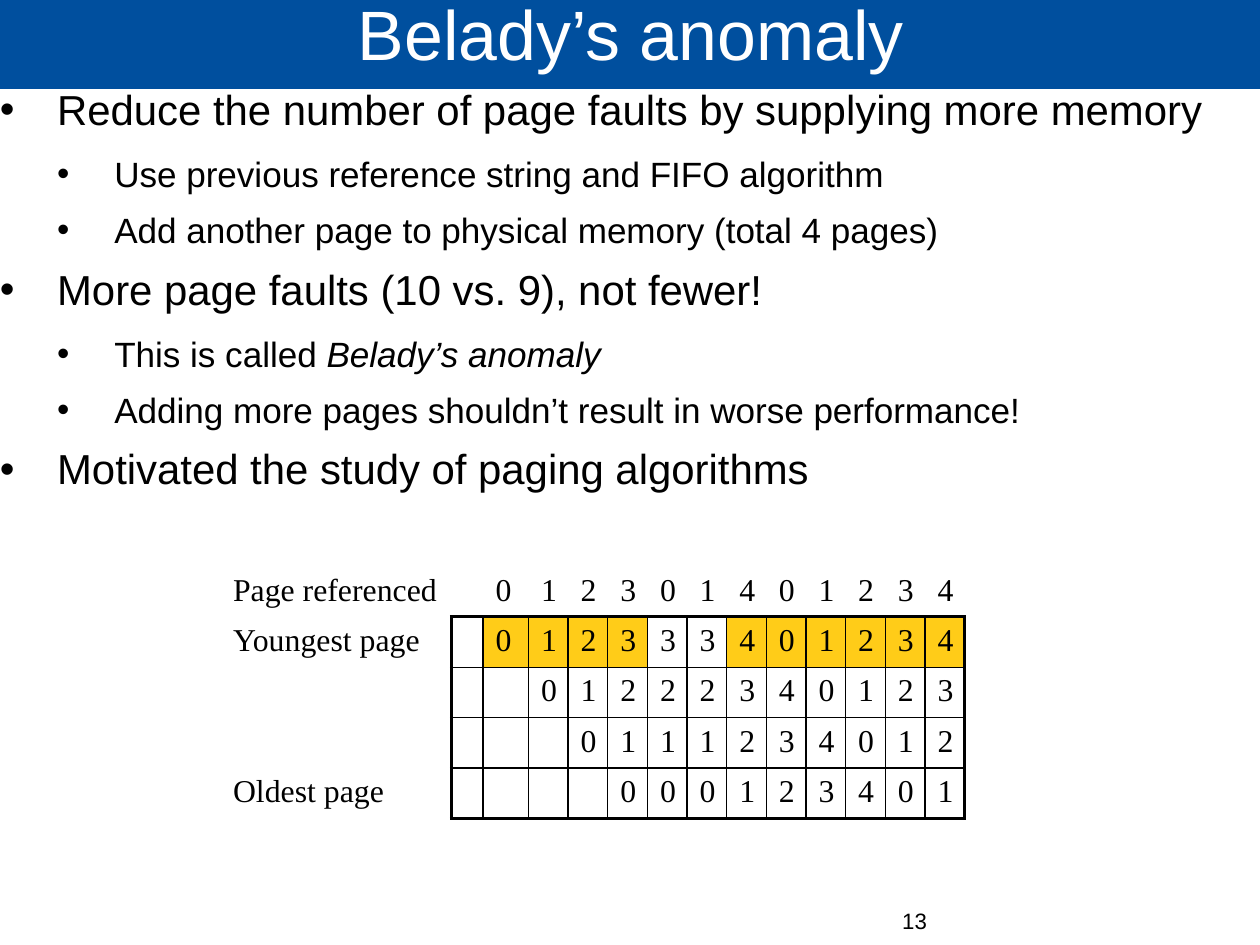
"""Build the slide on Belady's anomaly with its FIFO paging table."""
from lxml import etree
from pptx import Presentation
from pptx.dml.color import RGBColor
from pptx.enum.text import MSO_ANCHOR, MSO_AUTO_SIZE, PP_ALIGN
from pptx.oxml.ns import qn
from pptx.util import Pt

CENTER, RIGHT = PP_ALIGN.CENTER, PP_ALIGN.RIGHT
TOP, MIDDLE = MSO_ANCHOR.TOP, MSO_ANCHOR.MIDDLE
NO_AUTOFIT = MSO_AUTO_SIZE.NONE

BLACK, WHITE, BLUE, YELLOW = "000000", "FFFFFF", "004F9E", "FFCC18"
SANS, SERIF = "Arial", "Times New Roman"
SLIDE_SIZE = (793.7, 595.28)

TITLE = "Belady’s anomaly"
POINTS = [
    (0, ["Reduce the number of page faults by supplying more memory"]),
    (1, ["Use previous reference string and FIFO algorithm"]),
    (1, ["Add another page to physical memory (total 4 pages)"]),
    (0, ["More page faults (10 vs. 9), not fewer!"]),
    (1, ["This is called ", "Belady’s anomaly"]),
    (1, ["Adding more pages shouldn’t result in worse performance!"]),
    (0, ["Motivated the study of paging algorithms"]),
]
LEVELS = [{"size": 26.4, "after": 14.2}, {"size": 22.1, "after": 11.4}]
PAGE_NUMBER = "13"
PAGING = [
    ("Page referenced", " 012301401234"),
    ("Youngest page", " 012333401234"),
    ("", "  01222340123"),
    ("", "   0111234012"),
    ("Oldest page", "    000123401"),
]
COLUMN_WIDTHS = [145.5, 20, 28.6] + [25] * 11
ROW_HEIGHT = 31.75
FRAME_LINE, INNER_LINE = 2.25, 1


def color(value):
    return RGBColor.from_string(value)


def write(paragraph, text, size=20, font=SANS, fill=BLACK, italic=False, align=None):
    run = paragraph.add_run()
    run.text = text
    run.font.size, run.font.name, run.font.italic = Pt(size), font, italic
    run.font.color.rgb = color(fill)
    if align is not None:
        paragraph.alignment = align


def prepare(frame, anchor):
    frame.word_wrap = True
    frame.auto_size = NO_AUTOFIT
    frame.vertical_anchor = anchor
    frame.margin_left = frame.margin_right = frame.margin_top = frame.margin_bottom = 0


def place(shape, left, top, width, height):
    shape.left, shape.top, shape.width, shape.height = map(Pt, (left, top, width, height))


def add_bullet(paragraph, level):
    properties = paragraph._p.get_or_add_pPr()
    properties.set("marL", str(Pt(36 * (level + 1))))
    properties.set("indent", str(Pt(-36)))
    bullet_color = etree.SubElement(properties, qn("a:buClr"))
    etree.SubElement(bullet_color, qn("a:srgbClr"), val=BLACK)
    etree.SubElement(properties, qn("a:buFont"), typeface=SANS)
    etree.SubElement(properties, qn("a:buChar"), char="•")


def draw_borders(cell, weights):
    properties = cell._tc.get_or_add_tcPr()
    for side, weight in zip("LRTB", weights):
        line = etree.SubElement(properties, qn(f"a:ln{side}"), w=str(Pt(weight)))
        if weight:
            fill = etree.SubElement(line, qn("a:solidFill"))
            etree.SubElement(fill, qn("a:srgbClr"), val=BLACK)
        else:
            etree.SubElement(line, qn("a:noFill"))


def border_weights(row, column):
    last_row, last_column = len(PAGING) - 1, len(COLUMN_WIDTHS) - 1
    if row and column:
        outer = (column == 1, column == last_column, row == 1, row == last_row)
        return [FRAME_LINE if edge else INNER_LINE for edge in outer]
    right = FRAME_LINE if row and not column else 0
    bottom = FRAME_LINE if column and not row else 0
    return [0, right, 0, bottom]


def add_title(slide):
    title = slide.shapes.title
    place(title, 0, -2, 795, 58)
    title.fill.solid()
    title.fill.fore_color.rgb = color(BLUE)
    prepare(title.text_frame, MIDDLE)
    heading = title.text_frame.paragraphs[0]
    heading.line_spacing = 0.69
    write(heading, TITLE, size=44, fill=WHITE, align=CENTER)


def add_points(slide):
    points = slide.shapes.add_textbox(0, Pt(56.2), Pt(795), Pt(517)).text_frame
    prepare(points, TOP)
    for index, (level, parts) in enumerate(POINTS):
        point = points.add_paragraph() if index else points.paragraphs[0]
        point.level = level
        point.line_spacing = 0.9
        point.space_after = Pt(LEVELS[level]["after"])
        add_bullet(point, level)
        for part_index, part in enumerate(parts):
            write(point, part, size=LEVELS[level]["size"], italic=part_index > 0)


def add_paging_table(slide):
    table = slide.shapes.add_table(
        len(PAGING), len(COLUMN_WIDTHS), Pt(138.8), Pt(356.8),
        Pt(sum(COLUMN_WIDTHS)), Pt(ROW_HEIGHT * len(PAGING))).table
    table.first_row = table.horz_banding = False
    for column, width in zip(table.columns, COLUMN_WIDTHS):
        column.width = Pt(width)
    for row, (label, pages) in enumerate(PAGING):
        table.rows[row].height = Pt(ROW_HEIGHT)
        for column, text in enumerate([label, *pages]):
            cell = table.cell(row, column)
            cell.margin_left = cell.margin_right = Pt(8)
            cell.margin_top = cell.margin_bottom = Pt(4)
            draw_borders(cell, border_weights(row, column))
            is_fault = row == 1 and column > 1 and text != pages[column - 2]
            if is_fault:
                cell.fill.solid()
                cell.fill.fore_color.rgb = color(YELLOW)
            else:
                cell.fill.background()
            if text.strip():
                write(cell.text_frame.paragraphs[0], text, font=SERIF)


def add_page_number(slide):
    number = slide.shapes.add_textbox(Pt(221), Pt(571.5), Pt(363), Pt(39.6)).text_frame
    prepare(number, TOP)
    write(number.paragraphs[0], PAGE_NUMBER, size=14, align=RIGHT)


def main():
    deck = Presentation()
    deck.slide_width, deck.slide_height = map(Pt, SLIDE_SIZE)
    slide = deck.slides.add_slide(deck.slide_layouts[5])
    add_title(slide)
    add_points(slide)
    add_page_number(slide)
    add_paging_table(slide)
    deck.save("out.pptx")


if __name__ == "__main__":
    main()
